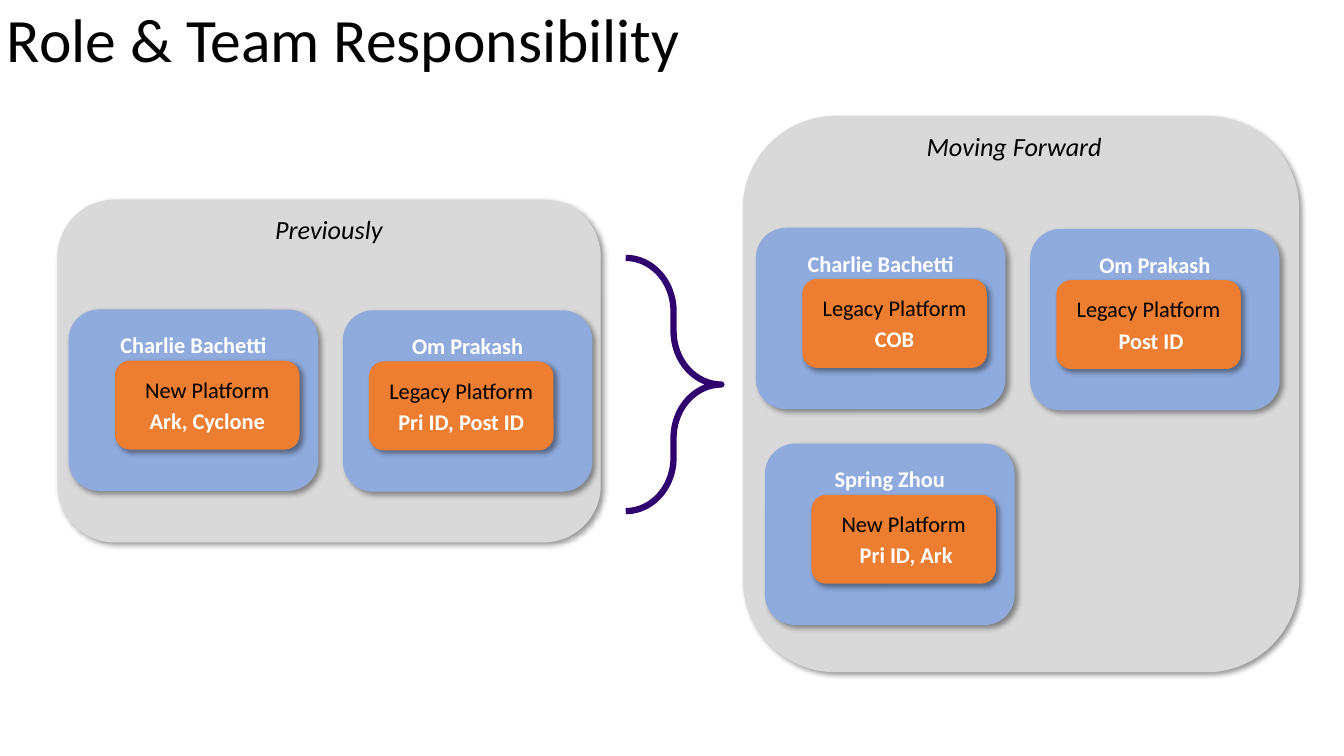
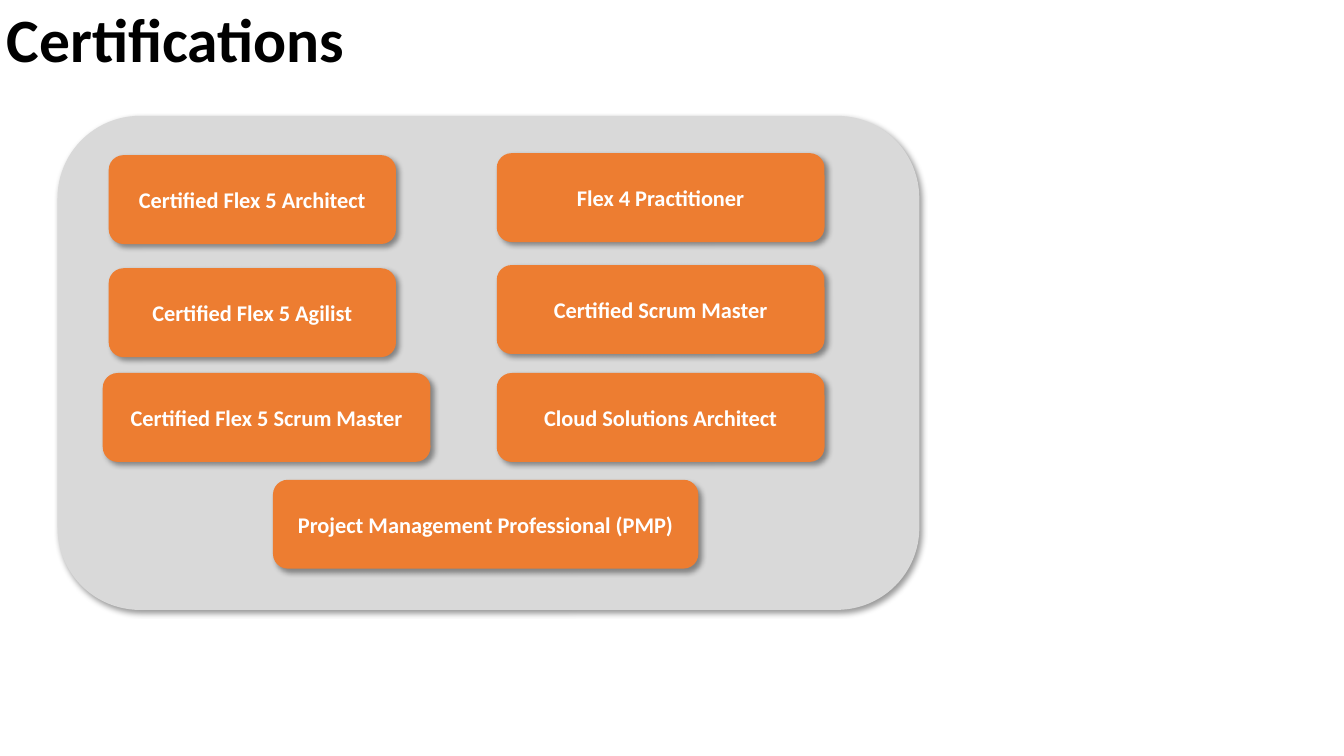
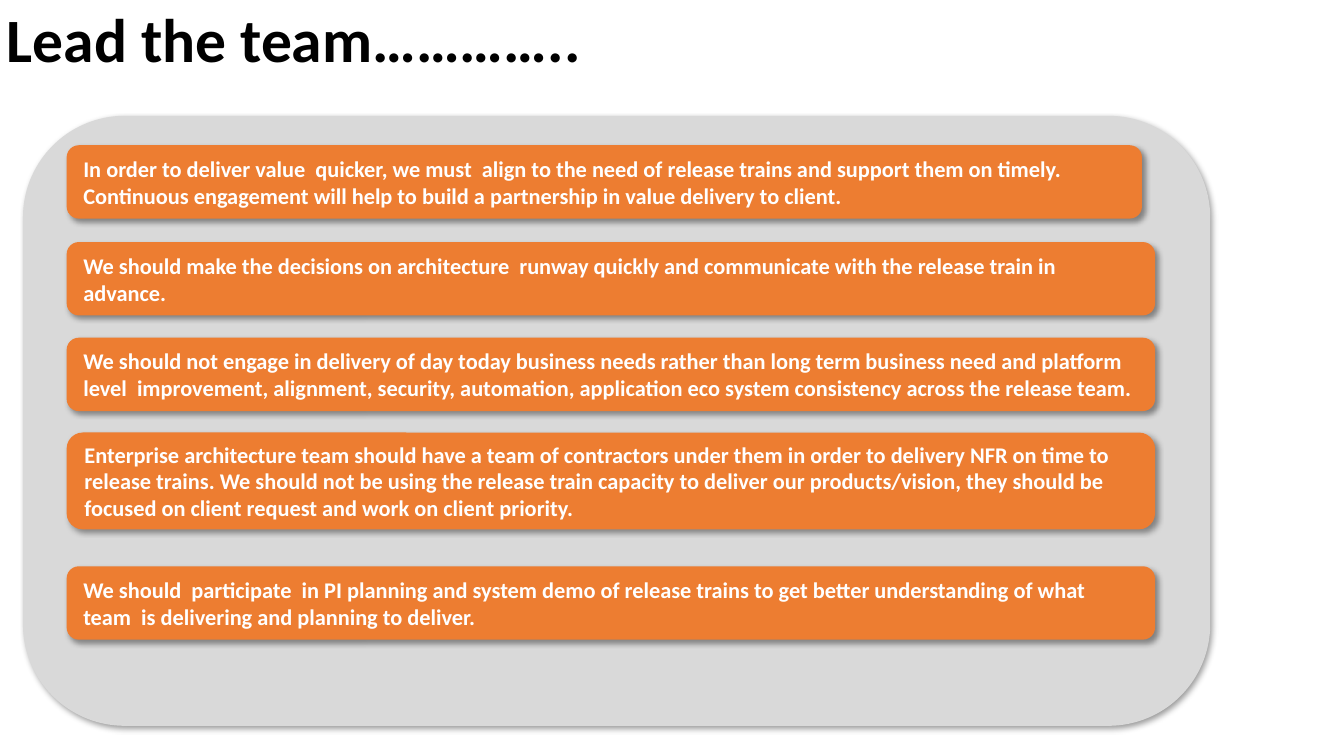
"""Build three slides on team roles, certifications and leading the team."""
from lxml.etree import SubElement
from pptx import Presentation
from pptx.dml.color import RGBColor
from pptx.enum.shapes import MSO_SHAPE
from pptx.enum.text import MSO_ANCHOR, PP_ALIGN
from pptx.oxml import parse_xml
from pptx.oxml.ns import nsdecls
from pptx.util import Cm, Pt

FONT = "Calibri"
BLACK, WHITE = "000000", "FFFFFF"
GREY, BLUE, ORANGE, PURPLE = "D9D9D9", "8FAADC", "ED7D31", "31006F"
SHADOW = (
    f'<a:effectLst {nsdecls("a")}><a:outerShdw blurRad="50800" dist="38100" dir="2700000" '
    'algn="tl" rotWithShape="0"><a:srgbClr val="000000"><a:alpha val="40000"/></a:srgbClr>'
    "</a:outerShdw></a:effectLst>"
)
rgb = RGBColor.from_string

prs = Presentation()
prs.slide_width, prs.slide_height = Cm(33.87), Cm(19.05)


def add_slide(title, bold=True):
    s = prs.slides.add_slide(prs.slide_layouts[5])
    sp = s.shapes.title
    sp.left, sp.top, sp.width, sp.height = Cm(-0.08), Cm(-0.76), Cm(29.21), Cm(3.68)
    tf = sp.text_frame
    tf.text = title
    tf.vertical_anchor = MSO_ANCHOR.MIDDLE
    p = tf.paragraphs[0]
    p.alignment, p.line_spacing = PP_ALIGN.LEFT, 0.9
    p.font.name, p.font.size, p.font.bold = FONT, Pt(44), bold
    p.font.color.rgb = rgb(BLACK)
    return s


def add_box(s, x, y, w, h, fill, lines=(), align=PP_ALIGN.CENTER, anchor=MSO_ANCHOR.MIDDLE):
    sp = s.shapes.add_shape(MSO_SHAPE.ROUNDED_RECTANGLE, Cm(x), Cm(y), Cm(w), Cm(h))
    sp.fill.solid()
    sp.fill.fore_color.rgb = rgb(fill)
    sp.line.fill.background()
    sp._element.spPr.append(parse_xml(SHADOW))
    tf = sp.text_frame
    tf.word_wrap, tf.vertical_anchor = True, anchor
    tf.margin_left = tf.margin_right = tf.margin_top = tf.margin_bottom = Cm(0.33)
    for i, (text, colour) in enumerate(lines):
        p = tf.add_paragraph() if i else tf.paragraphs[0]
        p.text, p.alignment, p.space_before = text, align, Pt(3.2)
        p.font.name, p.font.size, p.font.bold = FONT, Pt(16), colour == WHITE
        p.font.color.rgb = rgb(colour)


s = add_slide("Role & Team Responsibility", bold=False)
stages = [
    ("Previously", 1.45, 5.03, 13.69, 8.64, 3.3),
    ("Moving Forward", 18.72, 2.92, 14.02, 14.02, 20.57),
]
for label, x, y, w, h, label_x in stages:
    add_box(s, x, y, w, h, GREY)
    tf = s.shapes.add_textbox(Cm(label_x), Cm(y + 0.23), Cm(9.98), Cm(1.07)).text_frame
    tf.word_wrap = True
    p = tf.paragraphs[0]
    p.text, p.alignment = label, PP_ALIGN.CENTER
    p.font.name, p.font.size, p.font.italic = FONT, Pt(18.7), True
    p.font.color.rgb = rgb(BLACK)

brace = s.shapes.add_shape(MSO_SHAPE.RIGHT_BRACE, Cm(15.77), Cm(6.5), Cm(2.41), Cm(6.38))
brace.adjustments[0], brace.adjustments[1] = 0.56, 0.5
brace.shadow.inherit = False
brace.fill.solid()
brace.fill.fore_color.rgb = rgb(WHITE)
brace.line.color.rgb, brace.line.width = rgb(PURPLE), Pt(4.5)

members = [
    ("Charlie Bachetti", 1.73, 7.8, 1.17, "New Platform", "Ark, Cyclone"),
    ("Om Prakash", 8.64, 7.82, 0.66, "Legacy Platform", "Pri ID, Post ID"),
    ("Charlie Bachetti", 19.05, 5.74, 1.17, "Legacy Platform", "COB"),
    ("Om Prakash", 25.96, 5.77, 0.66, "Legacy Platform", " Post ID"),
    ("Spring Zhou", 19.28, 11.18, 1.17, "New Platform", " Pri ID, Ark"),
]
for name, x, y, indent, platform, products in members:
    add_box(s, x, y, 6.29, 4.57, BLUE, [(name, WHITE)], anchor=MSO_ANCHOR.TOP)
    add_box(s, x + indent, y + 1.29, 4.65, 2.24, ORANGE, [(platform, BLACK), (products, WHITE)])

s = add_slide("Certifications")
add_box(s, 1.45, 2.92, 21.72, 12.45, GREY)
certificates = [
    ("Certified Flex 5 Architect", 2.74, 3.91, 7.24),
    ("Certified Flex 5 Agilist", 2.74, 6.76, 7.24),
    ("Certified Flex 5 Scrum Master", 2.59, 9.4, 8.26),
    ("Flex 4 Practitioner", 12.52, 3.86, 8.26),
    ("Certified Scrum Master", 12.52, 6.68, 8.26),
    ("Cloud Solutions Architect", 12.52, 9.4, 8.26),
    ("Project Management Professional (PMP)", 6.88, 12.09, 10.72),
]
for name, x, y, w in certificates:
    add_box(s, x, y, w, 2.24, ORANGE, [(name, WHITE)])

s = add_slide("Lead the team…………..")
add_box(s, 0.58, 2.92, 29.92, 15.37, GREY)
principles = [
    (3.66, 27.1, 1.85, "In order to deliver value  quicker, we must  align to the need of release trains "
     "and support them on timely. Continuous engagement will help to build a partnership in value "
     "delivery to client."),
    (6.1, 27.43, 1.85, "We should make the decisions on architecture  runway quickly and communicate "
     "with the release train in advance."),
    (8.51, 27.43, 1.85, "We should not engage in delivery of day today business needs rather than long "
     "term business need and platform level  improvement, alignment, security, automation, "
     "application eco system consistency across the release team."),
    (10.9, 27.43, 2.44, "Enterprise architecture team should have a team of contractors under them in "
     "order to delivery NFR on time to release trains. We should not be using the release train "
     "capacity to deliver our products/vision, they should be focused on client request and work "
     "on client priority."),
    (14.27, 27.43, 1.85, "We should  participate  in PI planning and system demo of release trains to "
     "get better understanding of what team  is delivering and planning to deliver."),
]
for y, w, h, text in principles:
    add_box(s, 1.68, y, w, h, ORANGE, [(text, WHITE)], align=PP_ALIGN.LEFT)

prs.save("out.pptx")
